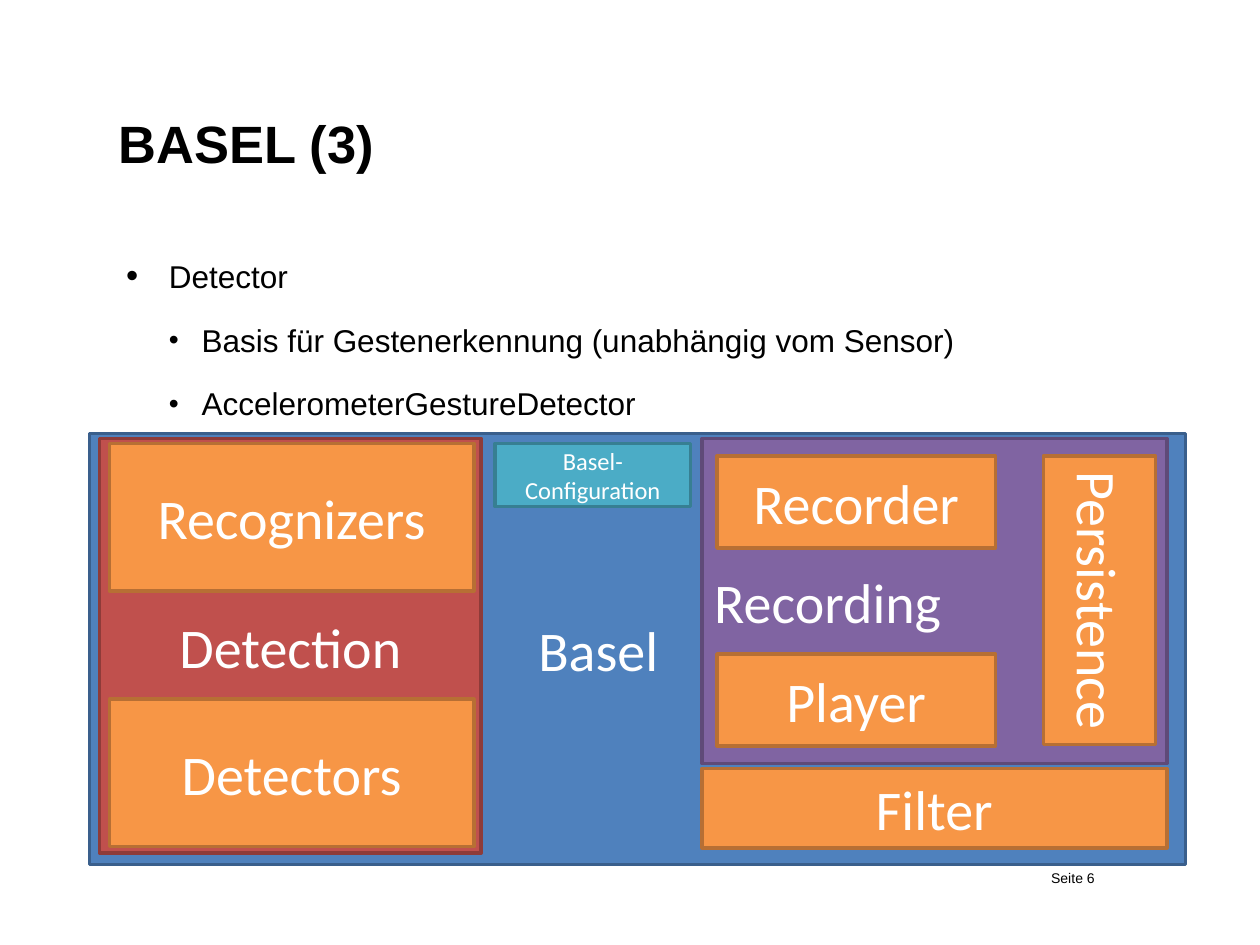
"""Builds the BASEL (3) slide with its component diagram."""
from dataclasses import dataclass

from lxml.etree import SubElement
from pptx import Presentation
from pptx.dml.color import RGBColor
from pptx.enum.shapes import MSO_SHAPE as Shape
from pptx.enum.text import MSO_ANCHOR as Anchor, MSO_AUTO_SIZE as AutoSize, PP_ALIGN as Align
from pptx.oxml.ns import qn
from pptx.util import Inches, Pt


@dataclass(frozen=True)
class Theme:
    """Fonts, type sizes in points and (fill, line) colour pairs."""
    text_font: str = "Arial"
    diagram_font: str = "Calibri"
    ink: str = "000000"
    light: str = "FFFFFF"
    title_size: int = 30
    body_size: int = 18
    footer_size: int = 8
    block_size: int = 32
    small_size: int = 14
    blue: tuple = ("4F81BD", "3A5F8C")
    red: tuple = ("C0504D", "8E3B39")
    purple: tuple = ("8064A2", "5F4A78")
    orange: tuple = ("F79646", "B76F34")
    teal: tuple = ("4BACC6", "377F92")


class SlideBuilder:
    """Holds the theme and the current slide."""

    def __init__(self, slide, theme):
        self.slide, self.theme = slide, theme
        self.diagram = None

    def style(self, paragraph, size, font, color, bold=False, align=Align.LEFT):
        paragraph.alignment = align
        paragraph.font.size = Pt(size)
        paragraph.font.name = font
        paragraph.font.bold = bold
        paragraph.font.color.rgb = RGBColor.from_string(color)

    def place(self, holder, box, anchor):
        holder.left, holder.top, holder.width, holder.height = map(Inches, box)
        frame = holder.text_frame
        frame.auto_size = AutoSize.NONE
        frame.word_wrap = True
        frame.vertical_anchor = anchor
        frame.margin_left = frame.margin_right = frame.margin_top = frame.margin_bottom = 0
        return frame

    def title(self, text, box):
        frame = self.place(self.slide.shapes.title, box, Anchor.BOTTOM)
        frame.text = text
        self.style(frame.paragraphs[0], self.theme.title_size, self.theme.text_font,
                   self.theme.ink, bold=True)

    def bullets(self, items, box):
        looks = {1: (0.47, -0.34, 110), 2: (0.73, -0.26, 90)}
        frame = self.place(self.slide.placeholders[1], box, Anchor.TOP)
        frame.text = "\n".join(text for _, text in items)
        for index, (paragraph, (level, _)) in enumerate(zip(frame.paragraphs, items)):
            margin, indent, percent = looks[level]
            paragraph.level = level
            paragraph.line_spacing = 1.5
            paragraph.space_before = Pt(4 if index else 0)
            properties = paragraph._p.get_or_add_pPr()
            properties.set("marL", str(Inches(margin)))
            properties.set("indent", str(Inches(indent)))
            SubElement(properties, qn("a:buSzPct"), val=str(percent * 1000))
            SubElement(properties, qn("a:buFont"), typeface=self.theme.text_font)
            SubElement(properties, qn("a:buChar"), char="•")
            self.style(paragraph, self.theme.body_size, self.theme.text_font, self.theme.ink)

    def footer(self, text, box):
        label = self.slide.shapes.add_textbox(*map(Inches, box))
        frame = self.place(label, box, Anchor.MIDDLE)
        frame.text = text
        self.style(frame.paragraphs[0], self.theme.footer_size, self.theme.text_font,
                   self.theme.ink, align=Align.RIGHT)

    def start_diagram(self):
        self.diagram = self.slide.shapes.add_group_shape()

    def block(self, text, box, colors, size=None, align=Align.CENTER, right_inset=0.1, rotation=0):
        fill, line = map(RGBColor.from_string, colors)
        block = self.diagram.shapes.add_shape(Shape.RECTANGLE, *map(Inches, box))
        block.shadow.inherit = False
        block.rotation = rotation
        block.fill.solid()
        block.fill.fore_color.rgb = fill
        block.line.color.rgb = line
        block.line.width = Pt(2)
        frame = block.text_frame
        frame.word_wrap = True
        frame.vertical_anchor = Anchor.MIDDLE
        frame.margin_right = Inches(right_inset)
        frame.text = text
        self.style(frame.paragraphs[0], size or self.theme.block_size,
                   self.theme.diagram_font, self.theme.light, align=align)


def main():
    deck = Presentation()
    deck.slide_width, deck.slide_height = Inches(10), Inches(7.5)
    theme = Theme()
    page = SlideBuilder(deck.slides.add_slide(deck.slide_layouts[1]), theme)

    page.title("BASEL (3)", (0.94, 0.44, 6.44, 0.94))
    page.bullets([(1, "Detector"),
                  (2, "Basis für Gestenerkennung (unabhängig vom Sensor)"),
                  (2, "AccelerometerGestureDetector")], (0.87, 1.89, 8.09, 4.46))
    page.footer("Seite 6", (6.61, 6.85, 2.08, 0.24))

    page.start_diagram()
    page.block("Basel", (0.71, 3.44, 8.7, 3.42), theme.blue, right_inset=0.72)
    page.block("Detection", (0.79, 3.48, 3.03, 3.29), theme.red)
    page.block("Filter", (5.57, 6.1, 3.69, 0.63), theme.orange)
    page.block("Recording", (5.57, 3.48, 3.69, 2.58), theme.purple, align=Align.LEFT)
    for name, top in (("Detectors", 5.55), ("Recognizers", 3.52)):
        page.block(name, (0.87, top, 2.89, 1.17), theme.orange)
    for name, top in (("Recorder", 3.62), ("Player", 5.19)):
        page.block(name, (5.69, top, 2.21, 0.73), theme.orange)
    page.block("Persistence", (7.58, 4.32, 2.29, 0.89), theme.orange, rotation=90)
    page.block("Basel-Configuration", (3.93, 3.52, 1.55, 0.5), theme.teal, size=theme.small_size)

    deck.save("out.pptx")


if __name__ == "__main__":
    main()
